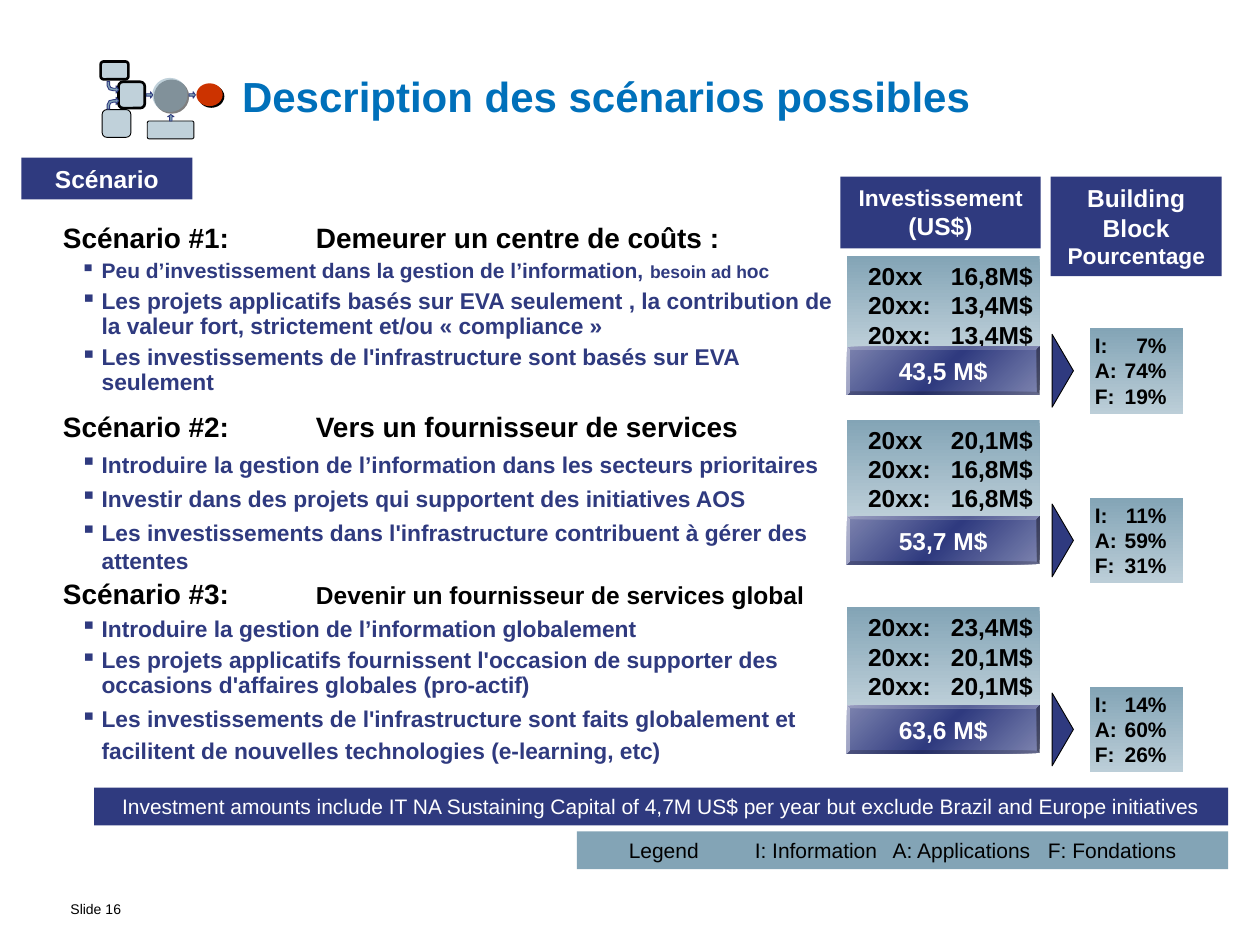
from dataclasses import dataclass

from pptx import Presentation
from pptx.dml.color import RGBColor
from pptx.enum.shapes import MSO_SHAPE as Shape
from pptx.enum.text import MSO_ANCHOR as Anchor, PP_ALIGN as Align
from pptx.oxml import parse_xml
from pptx.oxml.ns import nsdecls, qn
from pptx.util import Cm, Pt


@dataclass(frozen=True)
class Theme:
    font: str = "Arial"
    title: str = "0070BA"
    navy: str = "2F3A7F"
    lavender: str = "7D84AF"
    steel: str = "83A4B6"
    mist: str = "BCCED8"
    red: str = "CC3300"
    black: str = "000000"
    white: str = "FFFFFF"
    title_size: int = 24
    heading_size: int = 16
    label_size: int = 14
    bullet_size: int = 13
    note_size: int = 12
    footer_size: int = 8


theme = Theme()
STEEL_FADE = ((theme.steel, theme.mist), 90)
NAVY_SHEEN = ((theme.lavender, theme.navy, theme.lavender), 45)


def add_block(kind, box, fill=None, line=None, insets=(0.1, 0.1, 0.1, 0.1), anchor=Anchor.TOP):
    """Add a preset shape, or a text box when kind is None; fill is a colour or (colours, angle)."""
    box = [Cm(length) for length in box]
    if kind is None:
        shape = slide.shapes.add_textbox(*box)
    else:
        shape = slide.shapes.add_shape(kind, *box)
        shape.shadow.inherit = False
        if isinstance(fill, str):
            shape.fill.solid()
            shape.fill.fore_color.rgb = RGBColor.from_string(fill)
        else:
            colors, angle = fill
            stops = "".join(
                f'<a:gs pos="{100000 * i // (len(colors) - 1)}"><a:srgbClr val="{color}"/></a:gs>'
                for i, color in enumerate(colors))
            shape._element.spPr.insert(2, parse_xml(
                f'<a:gradFill {nsdecls("a")} rotWithShape="1"><a:gsLst>{stops}</a:gsLst>'
                f'<a:lin ang="{angle * 60000}" scaled="0"/></a:gradFill>'))
        if line:
            shape.line.color.rgb = RGBColor.from_string(theme.black)
            shape.line.width = Pt(line)
        else:
            shape.line.fill.background()
    frame = shape.text_frame
    frame.word_wrap = True
    frame.vertical_anchor = anchor
    frame.margin_left, frame.margin_top, frame.margin_right, frame.margin_bottom = map(Cm, insets)
    return shape


def write(shape, *runs, color=theme.black, bold=True, align=Align.LEFT, before=0, spacing=None,
          tabs=(), bullet=False):
    """Append one paragraph made of (text, size) runs; tabs are (cm, alignment) pairs."""
    frame = shape.text_frame
    paragraph = frame.add_paragraph() if frame.text else frame.paragraphs[0]
    paragraph.alignment = align
    paragraph.space_before = Pt(before)
    paragraph.line_spacing = spacing
    properties = paragraph._p.get_or_add_pPr()
    if bullet:
        properties.set("marL", str(Cm(0.78)))
        properties.set("indent", str(Cm(-0.43)))
        properties.append(parse_xml(
            f'<a:buClr {nsdecls("a")}><a:srgbClr val="{color}"/></a:buClr>'))
        properties.append(parse_xml(f'<a:buChar {nsdecls("a")} char="▪"/>'))
    if tabs:
        stops = "".join(f'<a:tab pos="{Cm(stop)}" algn="{side}"/>' for stop, side in tabs)
        properties.append(parse_xml(f'<a:tabLst {nsdecls("a")}>{stops}</a:tabLst>'))
    for text, size in runs:
        run = paragraph.add_run()
        run.text = text
        run.font.name = theme.font
        run.font.size = Pt(size)
        run.font.bold = bold
        run.font.color.rgb = RGBColor.from_string(color)


presentation = Presentation()
presentation.slide_width, presentation.slide_height = Cm(25.4), Cm(19.05)
slide = presentation.slides.add_slide(presentation.slide_layouts[6])

footer = add_block(None, (1.42, 18.08, 2.26, 0.56), insets=(0, 0.13, 0.25, 0.13))
write(footer, ("Slide 16", theme.footer_size), bold=False, spacing=0.85)
title = add_block(None, (4.65, 1.32, 19.05, 1.63), insets=(0.23, 0.1, 0.23, 0.1))
write(title, ("Description des scénarios possibles", theme.title_size), color=theme.title)

# Column headers
label, detail = theme.label_size, theme.bullet_size
headers = [
    ((0.43, 3.18, 3.45, 0.84), [[("Scénario", label)]]),
    ((16.94, 3.56, 4.04, 1.45), [[("Investissement ", detail), ("(US$)", label)]]),
    ((21.18, 3.56, 3.45, 2.01), [[("Building Block", label)], [("Pourcentage", detail)]]),
]
for box, paragraphs in headers:
    header = add_block(Shape.RECTANGLE, box, theme.navy, insets=(0.25, 0.13, 0.25, 0.13),
                       anchor=Anchor.MIDDLE)
    for runs in paragraphs:
        write(header, *runs, color=theme.white, align=Align.CENTER)

# Scenarios: text top, heading runs, bullets (runs, space before), bullet line spacing,
# amounts top, total top, amounts, total, shares
heading = theme.heading_size
scenarios = [
    (4.45, [("Scénario #1:\tDemeurer un centre de coûts :", heading)],
     [([("Peu d’investissement dans la gestion de l’information, ", 12), ("besoin ad h", 10),
        ("oc", 11)], 3.4),
      ([("Les projets applicatifs basés sur EVA seulement , la contribution de la valeur fort, "
         "strictement et/ou « compliance »", detail)], 4),
      ([("Les investissements de l'infrastructure sont basés sur EVA seulement", detail)], 4)],
     0.9, 5.16, 6.99, ("20xx\t16,8M$", "20xx:\t13,4M$", "20xx:\t13,4M$"), "43,5 M$", (7, 74, 19)),
    (8.26, [("Scénario #2:\tVers un fournisseur de services", heading)],
     [([("Introduire la gestion de l’information dans les secteurs prioritaires", detail)], 4),
      ([("Investir dans des projets qui supportent des initiatives AOS", detail)], 4),
      ([("Les investissements dans l'infrastructure contribuent à gérer des attentes", detail)], 4)],
     None, 8.46, 10.41, ("20xx\t20,1M$", "20xx:\t16,8M$", "20xx:\t16,8M$"), "53,7 M$", (11, 59, 31)),
    (11.63, [("Scénario #3:\t", heading), ("Devenir un fournisseur de services global", label)],
     [([("Introduire la gestion de l’information globalement", detail)], 4),
      ([("Les projets applicatifs fournissent l'occasion de supporter des occasions d'affaires "
         "globales (pro-actif)", detail)], 4),
      ([("Les investissements de l'infrastructure sont faits globalement et facilitent de "
         "nouvelles technologies (e-learning, etc)", detail), ("\t", 18)], 5.6)],
     0.9, 12.24, 14.22, ("20xx:\t23,4M$", "20xx:\t20,1M$", "20xx:\t20,1M$"), "63,6 M$", (14, 60, 26)),
]
for (text_top, heading_runs, bullets, spacing, amounts_top, total_top, amounts, total,
     shares) in scenarios:
    body = add_block(None, (0, text_top, 17.15, 3.8), insets=(1.27, 0, 0, 0))
    write(body, *heading_runs, before=5, tabs=[(5.1, "l")])
    for runs, before in bullets:
        write(body, *runs, color=theme.navy, before=before, spacing=spacing, bullet=True)

    amounts_box = add_block(Shape.RECTANGLE, (17.07, amounts_top, 3.89, total_top - amounts_top),
                            STEEL_FADE, insets=(0.43, 0.1, 0, 0.1))
    for amount in amounts:
        write(amounts_box, (amount, label), tabs=[(1.67, "l")])
    total_box = add_block(Shape.BEVEL, (17.07, total_top, 3.89, 0.97), NAVY_SHEEN,
                          anchor=Anchor.MIDDLE)
    total_box.adjustments[0] = 0.06
    write(total_box, (total, label), color=theme.white, align=Align.CENTER)

    shares_top = total_top - 0.38
    shares_box = add_block(Shape.RECTANGLE, (21.97, shares_top, 1.88, 1.73), STEEL_FADE)
    for letter, share in zip("IAF", shares):
        write(shares_box, (f"{letter}:\t{share}%", theme.note_size), tabs=[(1.45, "r")])
    arrow = add_block(Shape.RIGHT_ARROW, (21.21, shares_top + 0.13, 0.43, 1.47), theme.navy, 0.5)
    arrow.adjustments[0], arrow.adjustments[1] = 0.72, 1

# Notes at the foot
note = add_block(Shape.RECTANGLE, (1.9, 15.88, 22.86, 0.76), theme.navy, anchor=Anchor.MIDDLE)
write(note, ("Investment amounts include IT NA Sustaining Capital of 4,7M US$ per year but exclude "
             "Brazil and Europe initiatives", theme.note_size),
      color=theme.white, bold=False, align=Align.CENTER)
legend = add_block(Shape.RECTANGLE, (11.63, 16.76, 13.13, 0.76), theme.steel, anchor=Anchor.MIDDLE)
write(legend, ("Legend\tI: Information\tA: Applications\tF: Fondations", theme.note_size),
      bold=False, align=Align.CENTER, tabs=[(2.54, "l"), (5.32, "l"), (8.45, "l")])

# Small flow diagram beside the title: kind, box, fill, line width, opacity, corner
nodes = [
    (Shape.ROUNDED_RECTANGLE, (2.03, 1.24, 0.56, 0.36), theme.steel, 1.5, 50, 0.17),
    (Shape.ROUNDED_RECTANGLE, (2.97, 2.44, 0.94, 0.36), theme.steel, 0.5, 50, 0.1),
    (Shape.OVAL, (3.07, 1.57, 0.71, 0.69), theme.steel, None, 50, None),
    (Shape.ROUNDED_RECTANGLE, (2.39, 1.65, 0.53, 0.53), theme.steel, 1.5, 50, 0.17),
    (Shape.OVAL, (3.96, 1.68, 0.53, 0.46), theme.red, None, 100, None),
    (Shape.ROUNDED_RECTANGLE, (2.06, 2.21, 0.58, 0.56), theme.steel, 0.5, 50, 0.17),
]
for kind, box, fill, line, opacity, corner in nodes:
    node = add_block(kind, box, fill, line)
    if opacity < 100:
        fill_color = next(node._element.iter(qn("a:srgbClr")))
        fill_color.append(parse_xml(f'<a:alpha {nsdecls("a")} val="{opacity * 1000}"/>'))
    if corner:
        node.adjustments[0] = corner
    else:
        node._element.spPr.find(qn("a:effectLst")).append(parse_xml(
            f'<a:outerShdw {nsdecls("a")} dist="{Pt(1.4)}" dir="2700000">'
            f'<a:srgbClr val="{theme.black}"/></a:outerShdw>'))

flow_arrows = []
for kind, left, top in [(Shape.RIGHT_ARROW, 3.81, 1.85), (Shape.RIGHT_ARROW, 2.95, 1.85),
                        (Shape.UP_ARROW, 3.38, 2.31)]:
    flow_arrow = add_block(kind, (left, top, 0.13, 0.13), theme.steel, 0.5)
    flow_arrow.adjustments[0], flow_arrow.adjustments[1] = 0.38, 0.34
    flow_arrows.append(flow_arrow)

# Bent arrows mirrored about a horizontal axis, in hundredths of a centimetre
bend = [(239, 11), (234, 4), (234, 9), (229, 9), (220, 11), (216, 19), (216, 28), (221, 28),
        (221, 21), (223, 16), (229, 14), (234, 14), (234, 19)]
for side in (1, -1):
    points = [(x, 192 + side * y) for x, y in bend]
    builder = slide.shapes.build_freeform(*points[0], scale=Cm(0.01))
    builder.add_line_segments(points[1:], close=True)
    bent_arrow = builder.convert_to_shape()
    bent_arrow.shadow.inherit = False
    bent_arrow.fill.solid()
    bent_arrow.fill.fore_color.rgb = RGBColor.from_string(theme.steel)
    bent_arrow.line.width = Pt(0.5)
    flow_arrows.append(bent_arrow)
for flow_arrow in flow_arrows:
    flow_arrow.line.color.rgb = RGBColor.from_string(theme.navy)

presentation.save("out.pptx")
